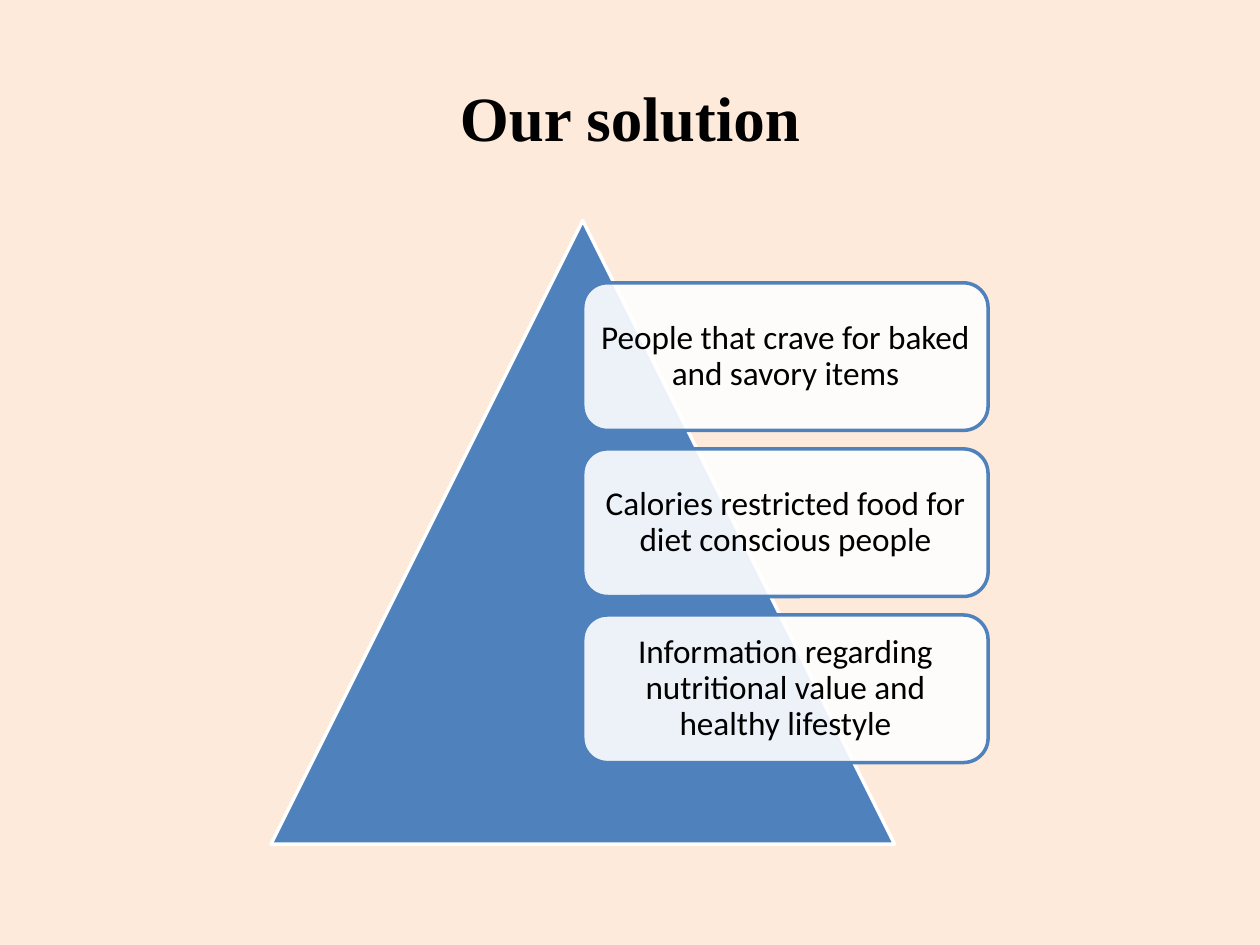
"""Build the "Our solution" slide: a triangle with three overlapping cards."""
from lxml import etree
from pptx import Presentation
from pptx import util as u
from pptx.dml.color import RGBColor
from pptx.enum import shapes, text
from pptx.oxml.ns import qn

TITLE = "Our solution"
CARDS = [
    "People that crave for baked and savory items",
    "Calories restricted food for diet conscious people",
    "Information regarding nutritional value and healthy lifestyle",
]
PEACH, BLUE, WHITE, BLACK = "FDEADA", "4F81BD", "FFFFFF", "000000"
WIDTH, HEIGHT = 10, 7.5
SIDE, TOP = 4.95, 1.75
LEFT = 2.15
CARD_W, CARD_H = SIDE * 0.65, SIDE * 0.2367
GAP = CARD_H / 8
PAD = 0.06


def rgb(value):
    return RGBColor.from_string(value)


def add_shape(s, kind, box, fill, line, opacity=100):
    sp = s.shapes.add_shape(kind, *map(u.Inches, box))
    sp.shadow.inherit = False
    sp.fill.solid()
    sp.fill.fore_color.rgb = rgb(fill)
    sp.line.color.rgb = rgb(line)
    sp.line.width = u.Pt(2)
    if opacity < 100:
        color = sp.fill._xPr.find(qn("a:solidFill"))[0]
        etree.SubElement(color, qn("a:alpha")).set("val", str(opacity * 1000))
    return sp


def add_text(s, content, box, size, font, bold=False, inset=0.1, spacing=1.0):
    tf = s.shapes.add_textbox(*map(u.Inches, box)).text_frame
    tf.word_wrap = True
    tf.vertical_anchor = text.MSO_ANCHOR.MIDDLE
    tf.margin_left = tf.margin_right = u.Inches(inset)
    tf.margin_top = tf.margin_bottom = u.Inches(min(inset, 0.08))
    p = tf.paragraphs[0]
    p.alignment = text.PP_ALIGN.CENTER
    p.line_spacing = spacing
    r = p.add_run()
    r.text = content
    r.font.size, r.font.name, r.font.bold = u.Pt(size), font, bold
    r.font.color.rgb = rgb(BLACK)


def main():
    prs = Presentation()
    prs.slide_width, prs.slide_height = u.Inches(WIDTH), u.Inches(HEIGHT)
    s = prs.slides.add_slide(prs.slide_layouts[6])
    s.background.fill.solid()
    s.background.fill.fore_color.rgb = rgb(PEACH)

    add_text(s, TITLE, (WIDTH * 0.05, HEIGHT * 0.04, WIDTH * 0.9, HEIGHT / 6),
             36, "Times New Roman", bold=True)
    add_shape(s, shapes.MSO_SHAPE.ISOSCELES_TRIANGLE, (LEFT, TOP, SIDE, SIDE), BLUE, WHITE)

    x = LEFT + SIDE / 2
    for i, card in enumerate(CARDS):
        y = TOP + SIDE / 10 + i * (CARD_H + GAP)
        add_shape(s, shapes.MSO_SHAPE.ROUNDED_RECTANGLE, (x, y, CARD_W, CARD_H),
                  WHITE, BLUE, opacity=90)
        add_text(s, card, (x + PAD, y + PAD, CARD_W - 2 * PAD, CARD_H - 2 * PAD),
                 19, "Calibri", inset=0.08, spacing=0.9)
    prs.save("out.pptx")


if __name__ == "__main__":
    main()
